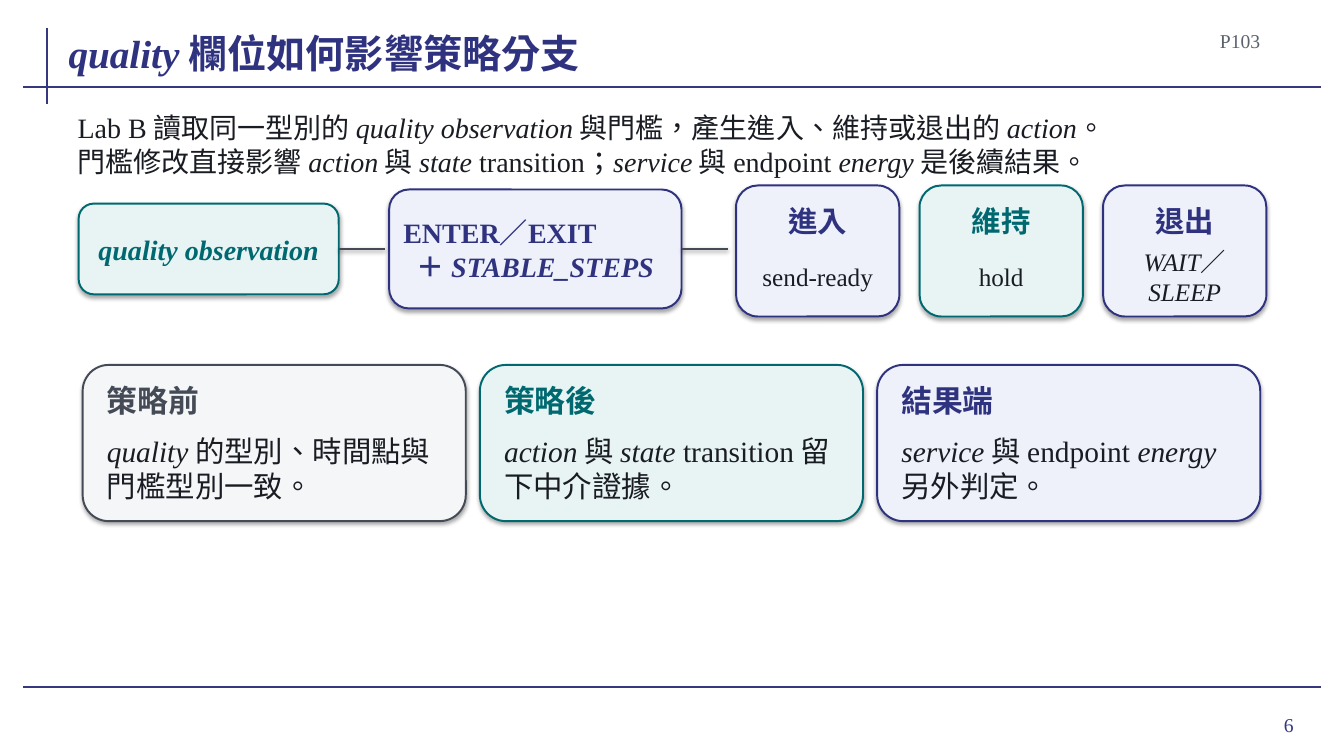
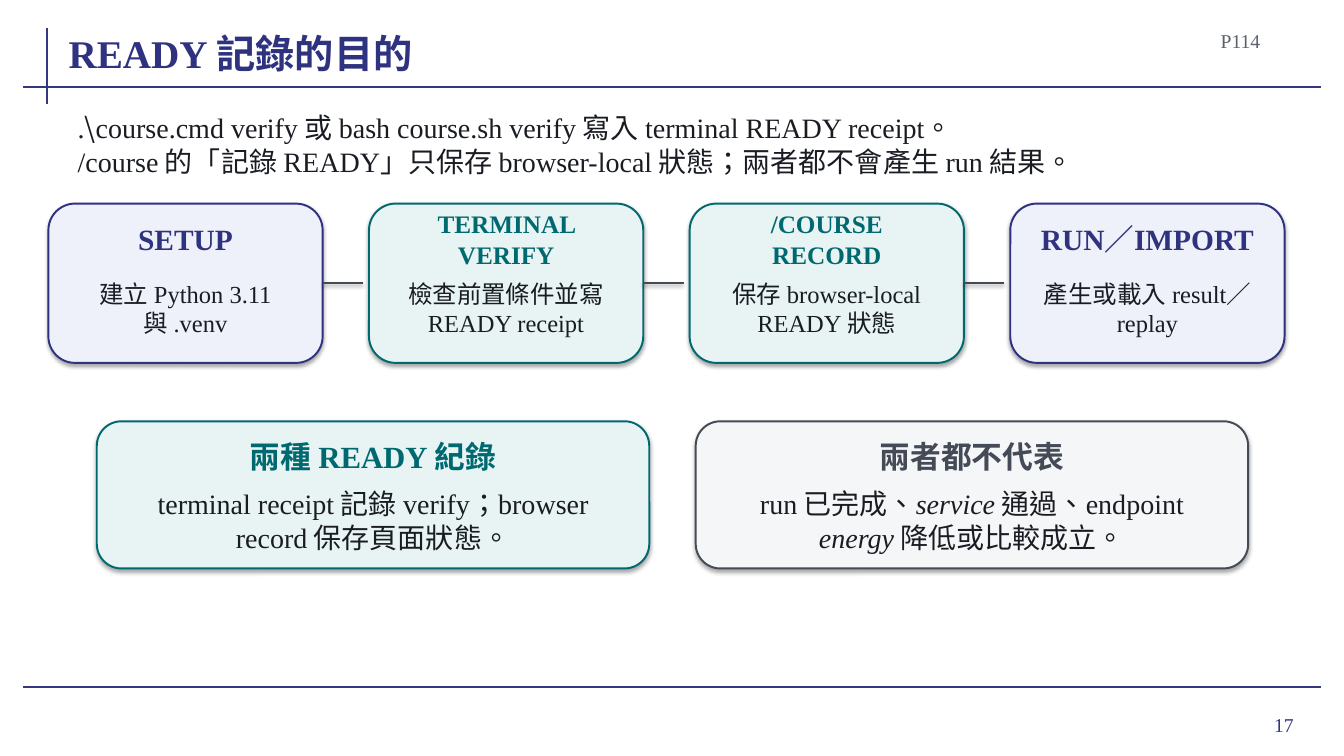
from dataclasses import dataclass
from itertools import groupby
from typing import NamedTuple

from lxml import etree
from pptx import Presentation
from pptx.dml.color import RGBColor as Rgb
from pptx.enum.lang import MSO_LANGUAGE_ID as Language
from pptx.enum.shapes import MSO_CONNECTOR as Connector, MSO_SHAPE as Preset
from pptx.enum.text import MSO_ANCHOR as Anchor, MSO_AUTO_SIZE as AutoSize, PP_ALIGN as Align
from pptx.oxml.ns import qn
from pptx.slide import Slide
from pptx.util import Inches, Pt


class Tone(NamedTuple):
    accent: str
    fill: str


class Box(NamedTuple):
    left: float
    top: float
    width: float
    height: float


class Shadow(NamedTuple):
    opacity: int
    distance: float


@dataclass(frozen=True)
class Theme:
    latin: str = "Times New Roman"
    cjk: str = "Noto Sans CJK SC"
    rule: str = "35377F"
    title: str = "2F327F"
    ink: str = "191C22"
    code: str = "5C626C"
    link: str = "444B56"
    navy: Tone = Tone("2F327F", "EEF1F9")
    teal: Tone = Tone("006970", "E8F4F4")
    grey: Tone = Tone("444B56", "F5F6F8")
    title_size: float = 28
    text_size: float = 20
    small_size: float = 14
    rule_width: float = 1.5
    border_width: float = 1.4
    card_shadow: Shadow = Shadow(35, 1.8)
    link_shadow: Shadow = Shadow(38, 1.6)


THEME = Theme()


@dataclass(frozen=True)
class Style:
    size: float = THEME.text_size
    color: str = THEME.ink
    bold: bool = False
    align: Align = Align.LEFT
    anchor: Anchor = Anchor.MIDDLE
    inset: float = 0.04
    wrap: bool = True
    grow: bool = True


@dataclass(frozen=True)
class Card:
    tone: Tone
    heading: str
    body: str
    heading_size: float | None = None


@dataclass(frozen=True)
class CardRow:
    first: Box
    gap: float
    heading_size: float
    body_size: float
    align: Align
    cards: tuple[Card, ...]
    link_length: float = 0


@dataclass(frozen=True)
class Page:
    title: str
    code: str
    number: str
    intro: tuple[str, ...]


RULES = ((0.47, 0.28, 0.47, 1.03), (0.23, 0.86, 13.1, 0.86), (0.23, 6.82, 13.1, 6.82))
TITLE_BOX = Box(0.68, 0.18, 10.9, 0.58)
CODE_BOX = Box(11.72, 0.27, 0.82, 0.26)
INTRO_BOX = Box(0.76, 1.12, 11.78, 0.62)
NUMBER_BOX = Box(11.96, 6.93, 0.97, 0.52)


def is_cjk(text: str, index: int) -> bool:
    letter = text[index]
    if letter == " ":
        return any(ord(near) >= 0x2E80 for near in text[max(index - 1, 0):index + 2])
    return letter == "\\" or ord(letter) >= 0x2E80


def add_runs(paragraph, line: str, style: Style) -> None:
    for position, segment in enumerate(line.split("*")):
        for cjk, indexes in groupby(range(len(segment)), lambda i: is_cjk(segment, i)):
            run = paragraph.add_run()
            run.text = "".join(segment[i] for i in indexes)
            font = run.font
            font.size = Pt(style.size)
            font.bold = style.bold
            font.italic = position % 2 == 1
            font.color.rgb = Rgb.from_string(style.color)
            font.name = THEME.cjk if cjk else THEME.latin
            font.language_id = Language.TRADITIONAL_CHINESE if cjk else Language.ENGLISH_US
            east_asian = etree.SubElement(run._r.get_or_add_rPr(), qn("a:ea"))
            east_asian.set("typeface", font.name)


def add_text(slide: Slide, box: Box, lines: tuple[str, ...], style: Style):
    frame = slide.shapes.add_textbox(*map(Inches, box)).text_frame
    frame.word_wrap = style.wrap
    frame.auto_size = AutoSize.SHAPE_TO_FIT_TEXT if style.grow else AutoSize.NONE
    frame.vertical_anchor = style.anchor
    frame.margin_left = frame.margin_right = Inches(style.inset)
    frame.margin_top = frame.margin_bottom = Inches(style.inset)
    for index, line in enumerate(lines):
        paragraph = frame.add_paragraph() if index else frame.paragraphs[0]
        paragraph.alignment = style.align
        add_runs(paragraph, line, style)
    return frame


def set_shadow(shape, shadow: Shadow | None) -> None:
    properties = shape._element.spPr
    effects = properties.find(qn("a:effectLst"))
    if effects is None:
        effects = etree.SubElement(properties, qn("a:effectLst"))
    if shadow is None:
        return
    outer = etree.SubElement(
        effects, qn("a:outerShdw"), blurRad=str(Pt(3.1)), dist=str(Pt(shadow.distance)),
        dir="5400000", rotWithShape="0",
    )
    color = etree.SubElement(outer, qn("a:srgbClr"), val="000000")
    etree.SubElement(color, qn("a:alpha"), val=str(shadow.opacity * 1000))


def add_line(slide: Slide, ends: tuple[float, ...], color: str, shadow: Shadow | None = None) -> None:
    line = slide.shapes.add_connector(Connector.STRAIGHT, *map(Inches, ends))
    line.line.color.rgb = Rgb.from_string(color)
    line.line.width = Pt(THEME.rule_width)
    set_shadow(line, shadow)


def add_link(slide: Slide, source: Box, length: float) -> None:
    start = source.left + source.width
    middle = source.top + source.height / 2
    add_line(slide, (start, middle, start + length, middle), THEME.link, THEME.link_shadow)


def add_panel(slide: Slide, box: Box, tone: Tone) -> None:
    panel = slide.shapes.add_shape(Preset.ROUNDED_RECTANGLE, *map(Inches, box))
    panel.fill.solid()
    panel.fill.fore_color.rgb = Rgb.from_string(tone.fill)
    panel.line.color.rgb = Rgb.from_string(tone.accent)
    panel.line.width = Pt(THEME.border_width)
    panel.shadow.inherit = False
    set_shadow(panel, THEME.card_shadow)


def add_node(slide: Slide, box: Box, tone: Tone, lines: tuple[str, ...]):
    add_panel(slide, box, tone)
    label = Box(box.left + 0.1, box.top + 0.08, box.width - 0.2, box.height - 0.16)
    return add_text(slide, label, lines, Style(color=tone.accent, bold=True, align=Align.CENTER))


def add_card(slide: Slide, box: Box, card: Card, row: CardRow) -> None:
    add_panel(slide, box, card.tone)
    left, width = box.left + 0.2, box.width - 0.4
    add_text(slide, Box(left, box.top + 0.16, width, 0.38), (card.heading,),
             Style(card.heading_size or row.heading_size, card.tone.accent, True, row.align))
    add_text(slide, Box(left, box.top + 0.64, width, box.height - 0.78), (card.body,),
             Style(row.body_size, align=row.align))


def add_card_row(slide: Slide, row: CardRow) -> None:
    for index, card in enumerate(row.cards):
        box = row.first._replace(left=row.first.left + index * (row.first.width + row.gap))
        add_card(slide, box, card, row)
        if row.link_length and index < len(row.cards) - 1:
            add_link(slide, box, row.link_length)


def add_page(deck, page: Page) -> Slide:
    slide = deck.slides.add_slide(deck.slide_layouts[6])
    for ends in RULES:
        add_line(slide, ends, THEME.rule)
    small = THEME.small_size
    add_text(slide, NUMBER_BOX, (page.number,),
             Style(small, THEME.rule, align=Align.RIGHT, inset=0.1, grow=False))
    add_text(slide, TITLE_BOX, (page.title,),
             Style(THEME.title_size, THEME.title, True, anchor=Anchor.BOTTOM,
                   inset=0, wrap=False, grow=False))
    add_text(slide, CODE_BOX, (page.code,), Style(small, THEME.code, align=Align.RIGHT))
    add_text(slide, INTRO_BOX, page.intro, Style(inset=0.01))
    return slide


def build_quality_page(deck) -> None:
    slide = add_page(deck, Page(
        "*quality* 欄位如何影響策略分支", "P103", "6",
        ("Lab B 讀取同一型別的 *quality observation* 與門檻，產生進入、維持或退出的 *action*。",
         "門檻修改直接影響 *action* 與 *state *transition；*service* 與 endpoint *energy* 是後續結果。"),
    ))
    observation = Box(0.78, 2.02, 2.58, 0.9)
    thresholds = Box(3.86, 1.88, 2.9, 1.18)
    add_node(slide, observation, THEME.teal, ("*quality observation*",))
    add_link(slide, observation, 0.46)
    threshold_label = add_node(slide, thresholds, THEME.navy, ("ENTER／EXIT", "＋ *STABLE_STEPS*"))
    threshold_label.paragraphs[0].alignment = Align.LEFT
    add_link(slide, thresholds, 0.46)
    add_card_row(slide, CardRow(Box(7.3, 1.84, 1.62, 1.3), 0.2, 21, 18, Align.CENTER, (
        Card(THEME.navy, "進入", "send-ready"),
        Card(THEME.teal, "維持", "hold"),
        Card(THEME.navy, "退出", "*WAIT*／*SLEEP*"),
    )))
    add_card_row(slide, CardRow(Box(0.82, 3.62, 3.8, 1.55), 0.14, 22, 21, Align.LEFT, (
        Card(THEME.grey, "策略前", "*quality* 的型別、時間點與門檻型別一致。"),
        Card(THEME.teal, "策略後", "*action* 與 *state *transition 留下中介證據。"),
        Card(THEME.navy, "結果端", "*service* 與 endpoint *energy* 另外判定。"),
    )))


def build_ready_page(deck) -> None:
    slide = add_page(deck, Page(
        "READY 記錄的目的", "P114", "17",
        (r".\course.cmd verify 或 bash course.sh verify 寫入 terminal READY receipt。",
         "/course 的「記錄 READY」只保存 browser-local 狀態；兩者都不會產生 run 結果。"),
    ))
    add_card_row(slide, CardRow(Box(0.48, 2.02, 2.72, 1.58), 0.46, 21, 17.5, Align.CENTER, (
        Card(THEME.navy, "SETUP", "建立 Python 3.11 與 .venv"),
        Card(THEME.teal, "TERMINAL VERIFY", "檢查前置條件並寫 READY receipt", 18),
        Card(THEME.teal, "/COURSE RECORD", "保存 browser-local READY 狀態", 18),
        Card(THEME.navy, "RUN／IMPORT", "產生或載入 result／replay"),
    ), link_length=0.4))
    add_card_row(slide, CardRow(Box(0.96, 4.18, 5.48, 1.46), 0.46, 22, 20, Align.CENTER, (
        Card(THEME.teal, "兩種 READY 紀錄", "terminal receipt 記錄 verify；browser record 保存頁面狀態。"),
        Card(THEME.grey, "兩者都不代表", "run 已完成、*service* 通過、endpoint *energy* 降低或比較成立。"),
    )))


def main() -> None:
    deck = Presentation()
    deck.slide_width, deck.slide_height = Inches(13.33), Inches(7.5)
    build_quality_page(deck)
    build_ready_page(deck)
    deck.save("out.pptx")


if __name__ == "__main__":
    main()
